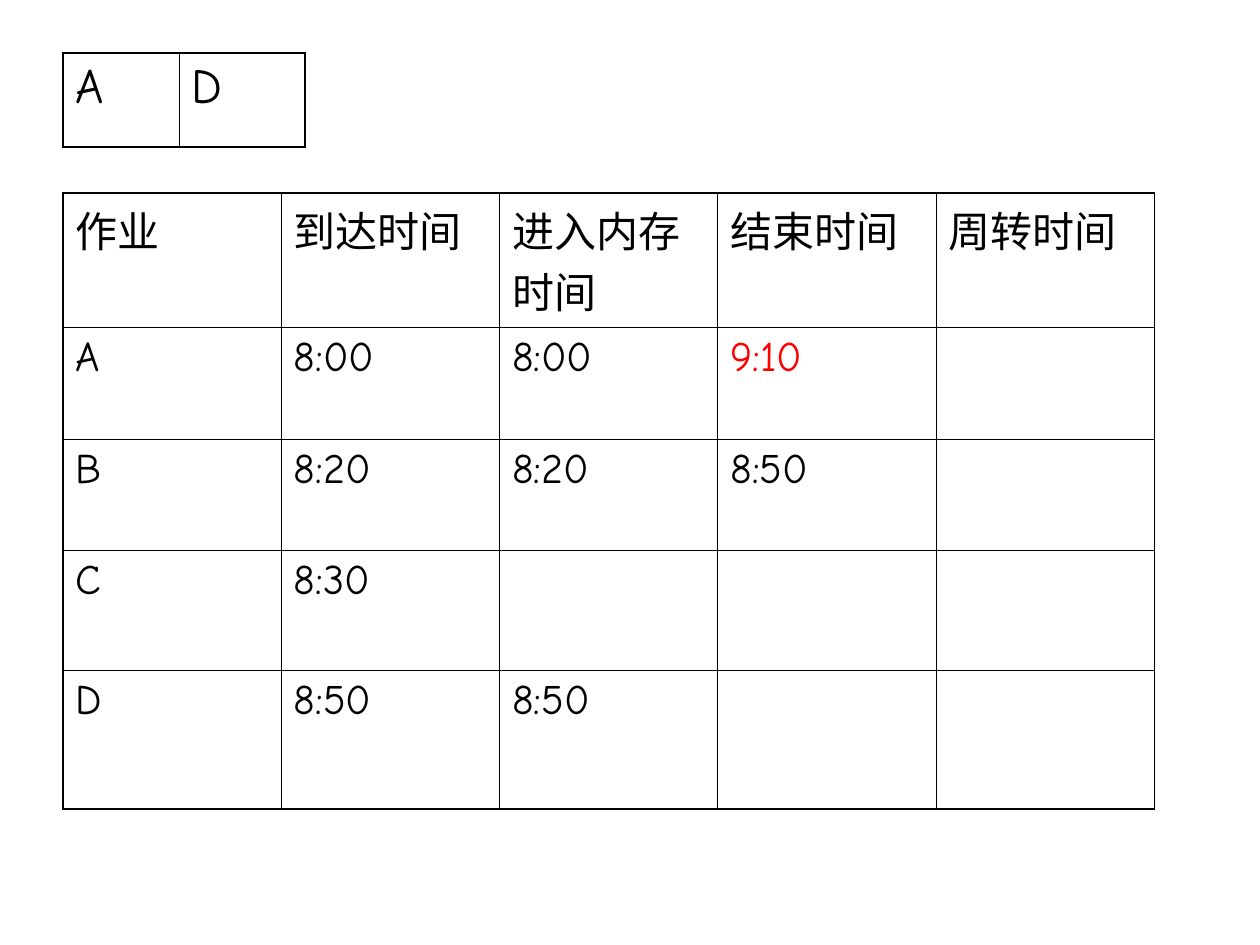
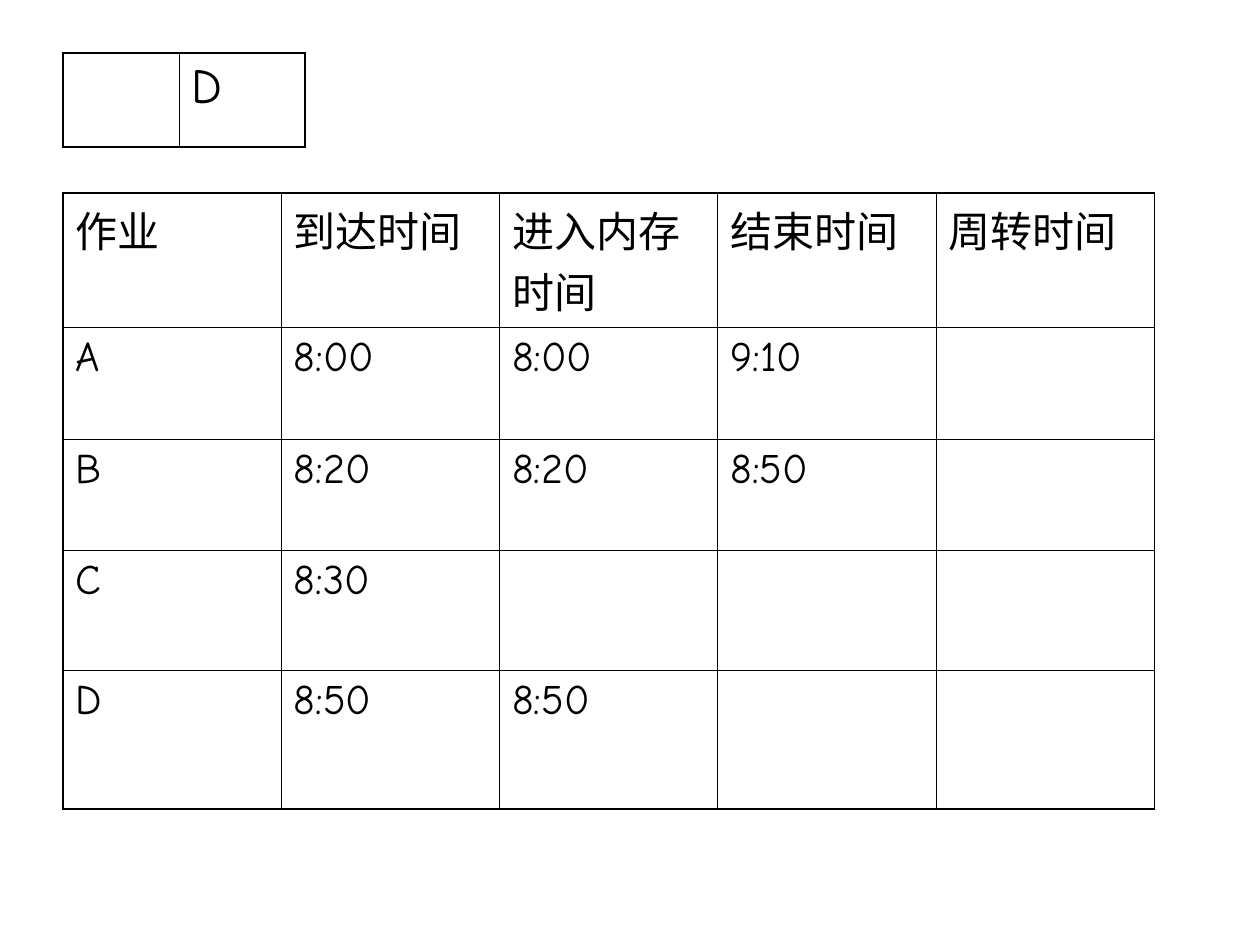
import lxml.etree
import pptx
import pptx.dml.color
import pptx.enum.lang
import pptx.oxml.ns
import pptx.util

Cm = pptx.util.Cm
Pt = pptx.util.Pt

HEADINGS = ["作业", "到达时间", "进入内存时间", "结束时间", "周转时间"]
JOBS = [
    ["A", "8:00", "8:00", "9:10", ""],
    ["B", "8:20", "8:20", "8:50", ""],
    ["C", "8:30", "", "", ""],
    ["D", "8:50", "8:50", "", ""],
]
FINISH_OF_A = (1, 3)


def color(hex_string):
    return pptx.dml.color.RGBColor.from_string(hex_string)


class Deck:
    font = "Comic Neue"
    ink = "000000"
    highlight = "FF0000"
    left = 1.27
    outer_line = 1.08
    inner_line = 0.45

    def __init__(self):
        self.presentation = pptx.Presentation()
        self.presentation.slide_width = Cm(25.4)
        self.presentation.slide_height = Cm(19.05)
        self.slide = None

    def new_slide(self):
        layout = self.presentation.slide_layouts[6]
        self.slide = self.presentation.slides.add_slide(layout)

    def border(self, cell, side, width):
        properties = cell._tc.get_or_add_tcPr()
        qn = pptx.oxml.ns.qn
        line = lxml.etree.SubElement(properties, qn(f"a:ln{side}"), w=str(Pt(width)))
        fill = lxml.etree.SubElement(line, qn("a:solidFill"))
        lxml.etree.SubElement(fill, qn("a:srgbClr"), val=self.ink)

    def cell_text(self, cell, text, size, space_before, hex_string):
        cell.text_frame.text = text
        paragraph = cell.text_frame.paragraphs[0]
        paragraph.space_before = Pt(space_before)
        for run in paragraph.runs:
            run.font.name = self.font
            run.font.size = Pt(size)
            run.font.color.rgb = color(hex_string)
            run.font.language_id = pptx.enum.lang.MSO_LANGUAGE_ID.SIMPLIFIED_CHINESE

    def table(self, top, widths, heights, rows, size, space_before, highlighted=()):
        last_row, last_column = len(heights) - 1, len(widths) - 1
        shape = self.slide.shapes.add_table(
            len(heights), len(widths), Cm(self.left), Cm(top),
            Cm(sum(widths)), Cm(sum(heights)))
        table = shape.table
        table.first_row = False
        table.horz_banding = False
        for column, width in zip(table.columns, widths):
            column.width = Cm(width)
        for row, height in zip(table.rows, heights):
            row.height = Cm(height)
        for r, texts in enumerate(rows):
            for c, text in enumerate(texts):
                cell = table.cell(r, c)
                hex_string = self.highlight if (r, c) in highlighted else self.ink
                self.cell_text(cell, text, size, space_before, hex_string)
                outer_sides = {"L": c == 0, "R": c == last_column,
                               "T": r == 0, "B": r == last_row}
                for side, is_outer in outer_sides.items():
                    self.border(cell, side, self.outer_line if is_outer else self.inner_line)
                cell.fill.background()

    def memory(self, jobs):
        self.table(1.07, [2.34, 2.54], [1.9], [jobs], 28, 7)

    def schedule(self, highlighted=()):
        self.table(3.89, [4.4] * len(HEADINGS), [2.31, 2.26, 2.24, 2.41, 2.8],
                   [HEADINGS] + JOBS, 24, 6, highlighted)


def main():
    deck = Deck()
    for jobs_in_memory, highlighted in [(["A", "D"], [FINISH_OF_A]), (["", "D"], [])]:
        deck.new_slide()
        deck.memory(jobs_in_memory)
        deck.schedule(highlighted)
    deck.presentation.save("out.pptx")


if __name__ == "__main__":
    main()
